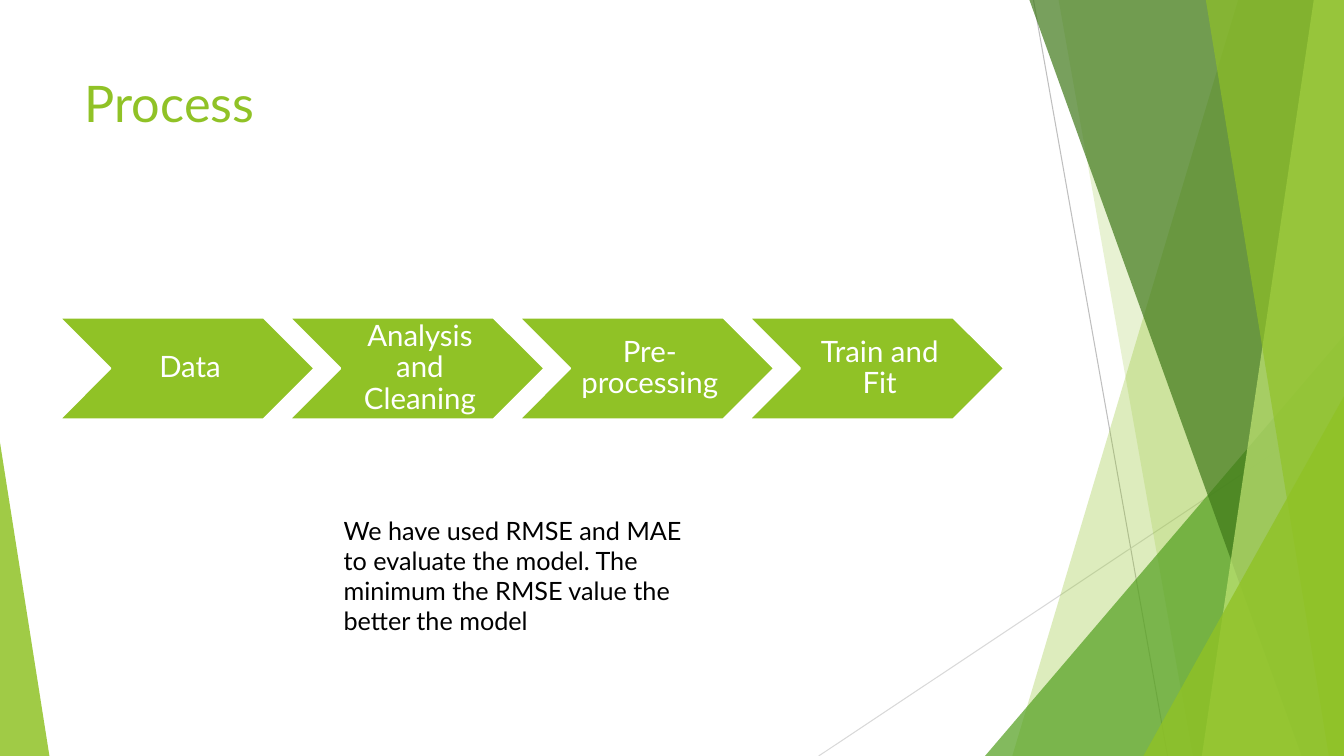
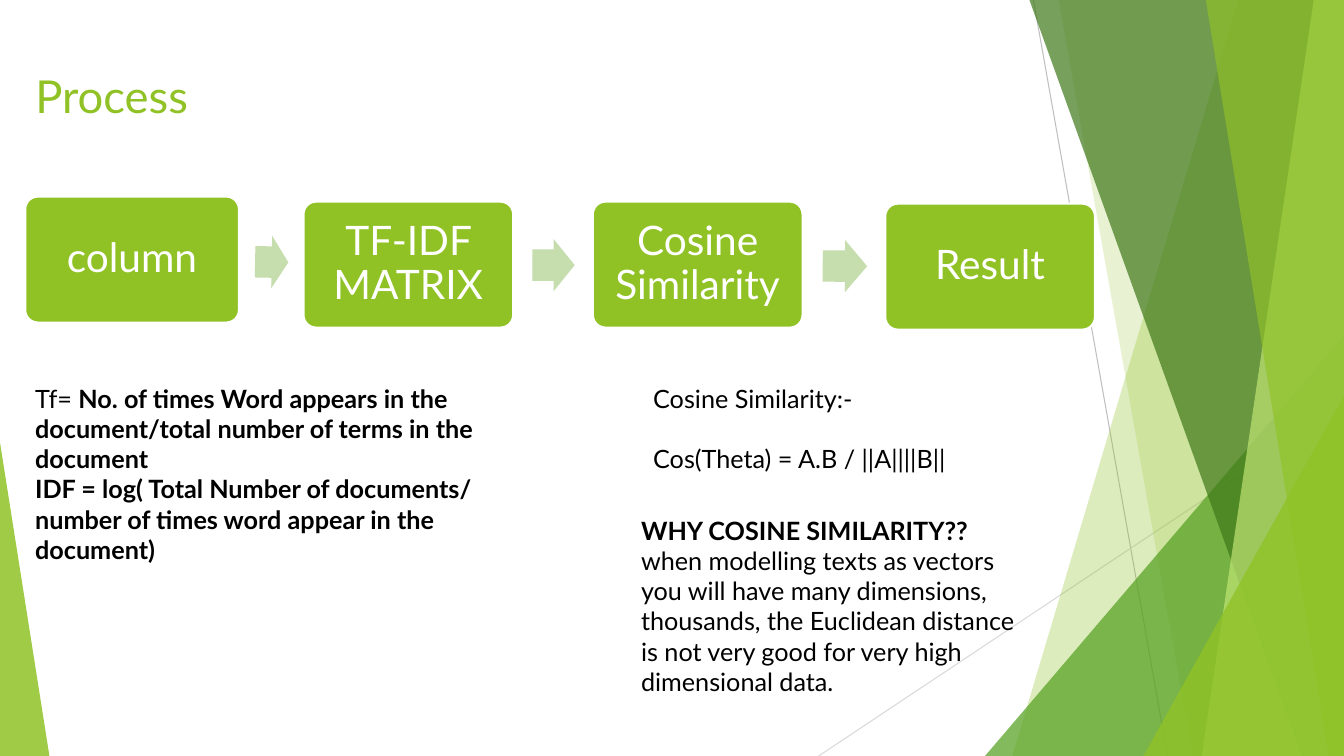
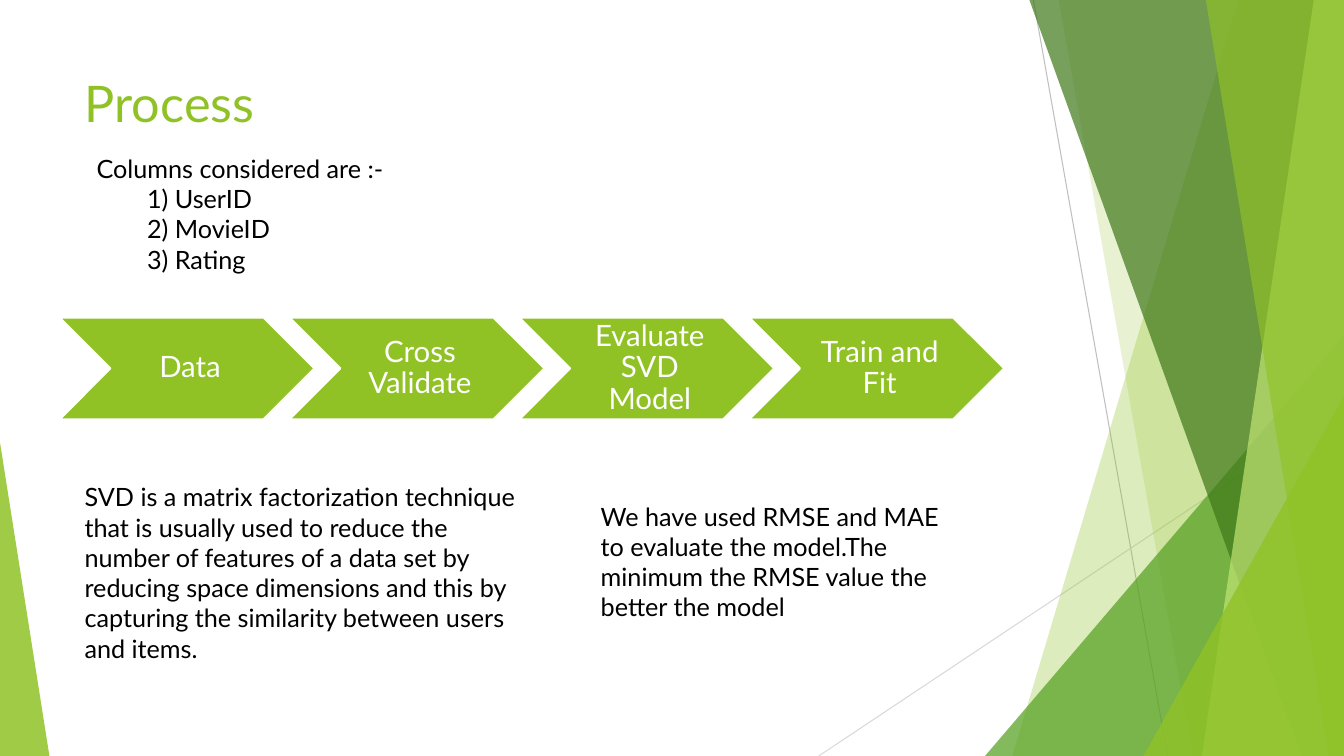
"""Build three slides on the modelling process, with chevron and box flows."""
from pptx import Presentation
from pptx.dml.color import RGBColor
from pptx.enum.shapes import MSO_CONNECTOR, MSO_SHAPE
from pptx.enum.text import MSO_ANCHOR, PP_ALIGN
from pptx.oxml.ns import qn
from pptx.oxml.xmlchemy import OxmlElement
from pptx.util import Inches, Pt

LIME = RGBColor(0x90, 0xC2, 0x26)
LEAF = RGBColor(0x54, 0xA0, 0x21)
FOREST = RGBColor(0x3F, 0x78, 0x19)
PALE_LIME = RGBColor(0xC0, 0xE4, 0x74)
SAGE = RGBColor(0xC6, 0xDD, 0xAD)
GREY = RGBColor(0xBF, 0xBF, 0xBF)
LIGHT_GREY = RGBColor(0xD9, 0xD9, 0xD9)
WHITE = RGBColor(0xFF, 0xFF, 0xFF)
BLACK = RGBColor(0, 0, 0)
FONT = "Lato"
W, H = 13.33, 7.5

TITLE = {"word_wrap": True, "vertical_anchor": MSO_ANCHOR.TOP}
BODY = {"word_wrap": True}
CHEVRON = {"word_wrap": True, "vertical_anchor": MSO_ANCHOR.MIDDLE,
           "margin_left": Inches(0.09), "margin_top": Inches(0.03),
           "margin_right": Inches(0.03), "margin_bottom": Inches(0.03)}
BOX = {"word_wrap": True, "vertical_anchor": MSO_ANCHOR.MIDDLE,
       "margin_left": Inches(0.12), "margin_top": Inches(0.12),
       "margin_right": Inches(0.12), "margin_bottom": Inches(0.12)}
LEFT = {"alignment": PP_ALIGN.LEFT}
CENTRED = {"alignment": PP_ALIGN.CENTER, "line_spacing": 0.9}


def write(tf, paragraphs, size, color, frame, para):
    """Fill a text frame; each paragraph is a list of (text, bold) runs."""
    for name, value in frame.items():
        setattr(tf, name, value)
    for i, runs in enumerate(paragraphs):
        p = tf.add_paragraph() if i else tf.paragraphs[0]
        for name, value in para.items():
            setattr(p, name, value)
        for text, bold in runs:
            r = p.add_run()
            r.text = text
            r.font.name, r.font.size, r.font.bold = FONT, Pt(size), bold
            r.font.color.rgb = color


def paint(sp, color, alpha=100, border=None):
    """Give a shape a flat fill, with an optional border and transparency."""
    sp.shadow.inherit = False
    sp.fill.solid()
    sp.fill.fore_color.rgb = color
    if alpha < 100:
        a = OxmlElement("a:alpha")
        a.set("val", str(alpha * 1000))
        sp.element.spPr.find(qn("a:solidFill"))[0].append(a)
    if border is None:
        sp.line.fill.background()
    else:
        sp.line.color.rgb = border
        sp.line.width = Pt(1.5)


prs = Presentation()
prs.slide_width, prs.slide_height = Inches(W), Inches(H)
layout = prs.slide_layouts[5]
ph = layout.placeholders[0]
ph.left, ph.top, ph.width, ph.height = Inches(0.74), Inches(0.67), Inches(2.67), Inches(0.8)
slides = [prs.slides.add_slide(layout) for _ in range(3)]

decor = []
for x1, y1, x2, y2, color in [(10.25, 0, 11.58, H, GREY), (W, 4.03, 8.12, H, LIGHT_GREY)]:
    ln = slides[0].shapes.add_connector(
        MSO_CONNECTOR.STRAIGHT, Inches(x1), Inches(y1), Inches(x2), Inches(y2))
    ln.line.color.rgb = color
    ln.line.width = Pt(0.75)
    ln.element.spPr.append(OxmlElement("a:effectLst"))
    decor.append(ln)

PANELS = [
    ("band", (12.28, 10.04), LIME, 30),
    ("band", (10.5, 11.83), LIME, 20),
    ("triangle", (9.77, 3.33, 3.56, 1), LEAF, 72),
    ("band", (10.21, 12.91), FOREST, 70),
    ("band", (13.03, 11.92), PALE_LIME, 70),
    ("band", (11.96, 13.18), LIME, 65),
    ("triangle", (11.34, 3.93, 1.99, 1), LIME, 80),
    ("triangle", (0, 4.39, 0.49, 0), LIME, 85),
]
for kind, geometry, color, alpha in PANELS:
    if kind == "band":
        top, bottom = geometry
        fb = slides[0].shapes.build_freeform(Inches(top), 0)
        fb.add_line_segments([(Inches(x), Inches(y)) for x, y in [(W, 0), (W, H), (bottom, H)]])
        sp = fb.convert_to_shape()
    else:
        x, y, w, apex = geometry
        sp = slides[0].shapes.add_shape(
            MSO_SHAPE.ISOSCELES_TRIANGLE, Inches(x), Inches(y), Inches(w), Inches(H - y))
        sp.adjustments[0] = apex
    paint(sp, color, alpha)
    decor.append(sp)
for sp in decor:
    layout.shapes.element.append(sp.element)

for s, size in zip(slides, (36, 32.4, 36)):
    write(s.shapes.title.text_frame, [[("Process", False)]], size, LIME, TITLE, LEFT)
title = slides[1].shapes.title
title.left, title.top, title.width, title.height = (
    Inches(0.25), Inches(0.63), Inches(2.31), Inches(0.57))

CHEVRONS = [
    (slides[0], ["Data", "Analysis and Cleaning", "Pre-processing", "Train and Fit"]),
    (slides[2], ["Data", "Cross Validate", "Evaluate SVD Model", "Train and Fit"]),
]
for s, steps in CHEVRONS:
    for i, step in enumerate(steps):
        sp = s.shapes.add_shape(MSO_SHAPE.CHEVRON, Inches(0.59 + 2.28 * i), Inches(3.15),
                                Inches(2.53), Inches(1.01))
        paint(sp, LIME, border=WHITE)
        write(sp.text_frame, [[(step, False)]], 21, WHITE, CHEVRON, CENTRED)

BOXES = [("column", 0.25, 1.95, 2.12), ("TF-IDF MATRIX", 3.01, 2, 2.08),
         ("Cosine Similarity", 5.88, 2, 2.08), ("Result", 8.78, 2.02, 2.08)]
for step, x, y, w in BOXES:
    sp = slides[1].shapes.add_shape(
        MSO_SHAPE.ROUNDED_RECTANGLE, Inches(x), Inches(y), Inches(w), Inches(1.25))
    sp.adjustments[0] = 0.1
    paint(sp, LIME, border=WHITE)
    write(sp.text_frame, [[(step, False)]], 29, WHITE, BOX, CENTRED)

for x, y, w, angle in [(2.53, 2.34, 0.33, 1.1), (5.28, 2.37, 0.42, 0), (8.16, 2.38, 0.44, 0.3)]:
    sp = slides[1].shapes.add_shape(
        MSO_SHAPE.RIGHT_ARROW, Inches(x), Inches(y), Inches(w), Inches(0.52))
    sp.adjustments[0] = 0.6
    sp.rotation = angle
    paint(sp, SAGE)

NOTES = [
    (slides[0], 3.31, 5.06, 3.69, 1.31, [
        [("We have used RMSE and MAE to evaluate the model. The minimum the RMSE value "
          "the better the model", False)]]),
    (slides[1], 0.25, 3.75, 5.2, 1.92, [
        [("Tf= ", False), ("No. of times Word appears in the document/total number of "
                           "terms in the document", True)],
        [("IDF = log( Total Number of documents/ number of times word appear in the "
          "document)", True)]]),
    (slides[1], 6.38, 3.75, 4.25, 1.31, [
        [("Cosine Similarity:-", False)],
        [("Cos(Theta) = A.B / ||A||||B||", False)]]),
    (slides[1], 6.26, 5.06, 3.92, 1.92, [
        [("WHY COSINE SIMILARITY??", True)],
        [("when modelling texts as vectors you will have many dimensions, thousands, the "
          "Euclidean distance is not very good for very high dimensional data.", False)]]),
    (slides[2], 0.86, 1.47, 3.95, 1.31, [
        [("Columns considered are :-", False)],
        [("1) UserID", False)], [("2) MovieID", False)], [("3) Rating", False)]]),
    (slides[2], 0.74, 4.73, 4.65, 1.92, [
        [("SVD is a matrix factorization technique that is usually used to reduce the "
          "number of features of a data set by reducing space dimensions and this by "
          "capturing the similarity between users and items.", False)]]),
    (slides[2], 5.86, 4.92, 3.69, 1.31, [
        [("We have used RMSE and MAE to evaluate the model.The minimum the RMSE value "
          "the better the model", False)]]),
]
for s, x, y, w, h, paragraphs in NOTES:
    tf = s.shapes.add_textbox(Inches(x), Inches(y), Inches(w), Inches(h)).text_frame
    write(tf, paragraphs, 18, BLACK, BODY, LEFT)
    if paragraphs[0][0][0] == "Cosine Similarity:-":
        tf.paragraphs[1].space_before = Pt(21.6)
    if paragraphs[0][0][0] == "Columns considered are :-":
        for p in tf.paragraphs[1:]:
            p._p.get_or_add_pPr().set("marL", str(Inches(0.5)))

prs.save("out.pptx")
